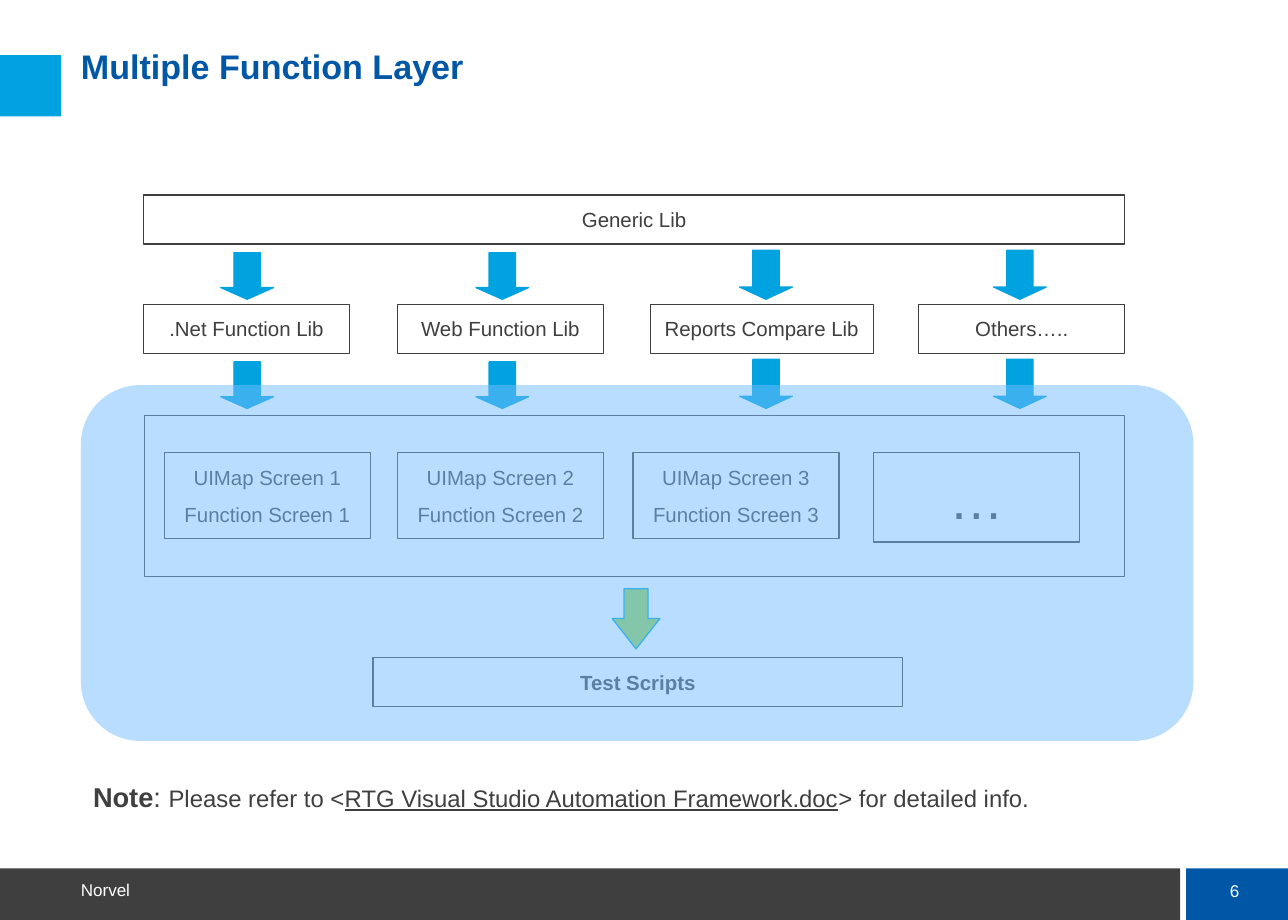
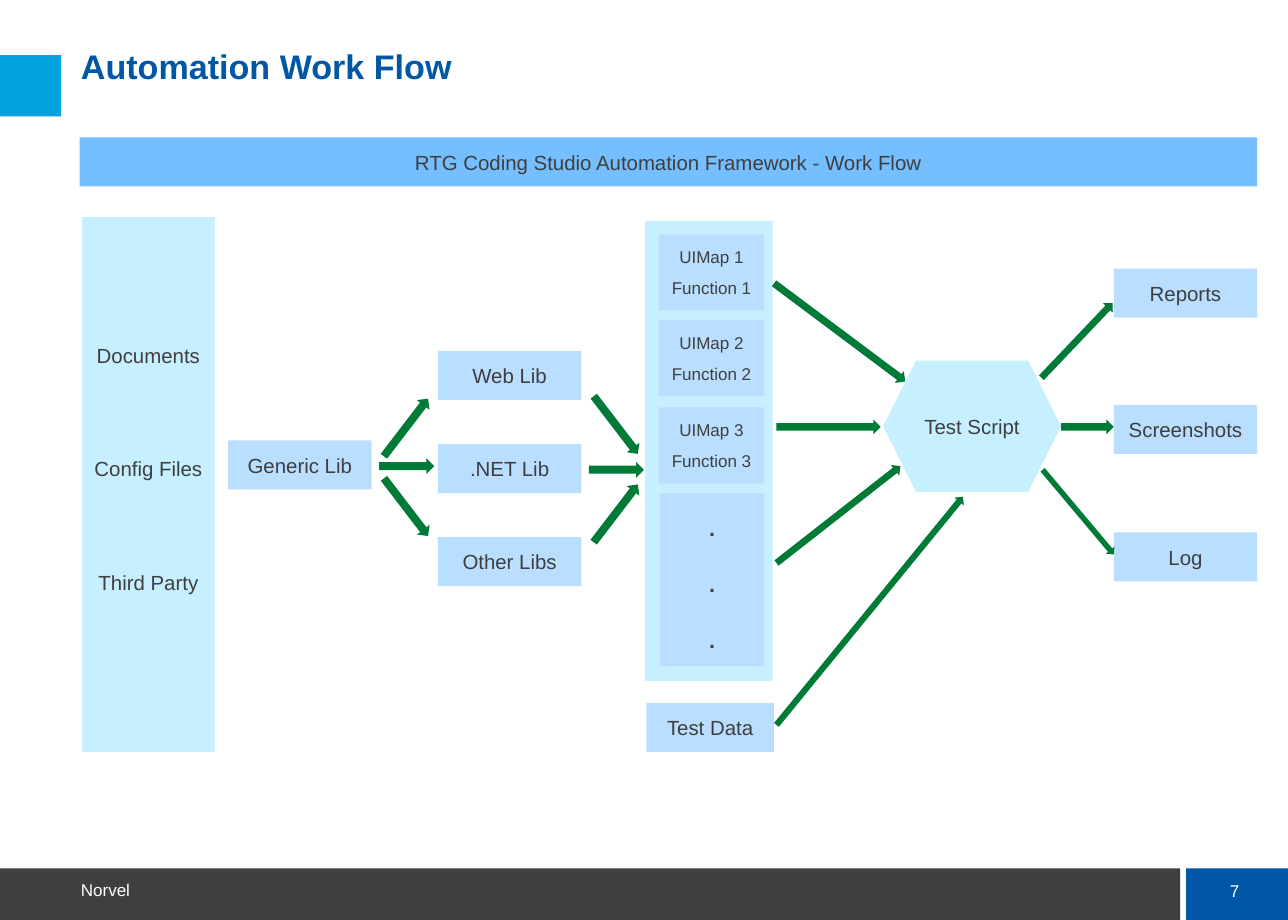
import math

from lxml import etree
from pptx import Presentation
from pptx import util as u
from pptx.dml.color import RGBColor
from pptx.enum import shapes, text
from pptx.oxml import ns

PX = 9144  # EMU per px, 100 px to the inch
FONT = "Arial"
WHITE = RGBColor(0xFF, 0xFF, 0xFF)
DARK = RGBColor(0x3F, 0x3F, 0x3F)
NAVY = RGBColor(0x00, 0x57, 0xA6)
CYAN = RGBColor(0x00, 0xA2, 0xDF)
LIME = RGBColor(0x92, 0xD0, 0x50)
GREEN = RGBColor(0x00, 0x7A, 0x37)
SKY = RGBColor(0x75, 0xBE, 0xFF)
PALE = RGBColor(0xBA, 0xDE, 0xFF)
ICE = RGBColor(0xC6, 0xEF, 0xFF)

MS = shapes.MSO_SHAPE
CENTER = text.PP_ALIGN.CENTER
LEFT = text.PP_ALIGN.LEFT
TOP, MIDDLE, BOTTOM = (text.MSO_ANCHOR.TOP, text.MSO_ANCHOR.MIDDLE,
                       text.MSO_ANCHOR.BOTTOM)

# Shared content
FOOTER = "Norvel"
TITLES = {6: "Multiple Function Layer", 7: "Automation Work Flow"}

# Layer slide: label, left, width, left and top of the arrow above
LIBS = [
    (".Net Function Lib", 117, 168, 180, 206),
    ("Web Function Lib", 324, 168, 388, 206),
    ("Reports Compare Lib", 530, 182, 603, 204),
    ("Others…..", 749, 168, 810, 204),
]
ARROW_BOTTOM = 244
ROW_STEP = 89
SCREEN_LEFTS = [134, 324, 516]
NOTE = [  # text, size, bold, underlined
    ("Note", 16, True, False),
    (": ", 16, False, False),
    ("Please refer to <", 14, False, False),
    ("RTG Visual Studio Automation Framework.doc", 14, False, True),
    ("> for detailed info.", 14, False, False),
]

# Work flow slide
BANNER = "RTG Coding Studio Automation Framework - Work Flow"
INPUTS = ["Documents", "Config Files", "Third Party"]
FLOW_BOXES = [  # label, left, top, width
    ("Generic Lib", 186, 359, 117),
    ("Web Lib", 357, 286, 117),
    (".NET Lib", 357, 362, 117),
    ("Other Libs", 357, 438, 117),
    ("Test Data", 527, 573, 104),
    ("Reports", 908, 219, 117),
    ("Screenshots", 908, 330, 117),
    ("Log", 908, 434, 117),
]
FLOW_ARROWS = [  # from x, y, to x, y, thickness
    (313, 372, 349, 325, 13),
    (309, 380, 354, 380, 13),
    (313, 390, 349, 437, 13),
    (484, 323, 520, 370, 13),
    (480, 383, 525, 383, 13),
    (484, 442, 520, 395, 13),
    (631, 231, 738, 311, 12),
    (633, 348, 718, 348, 12),
    (633, 459, 734, 380, 11),
    (633, 591, 785, 405, 10),
    (849, 308, 907, 247, 11),
    (865, 348, 908, 348, 12),
    (850, 383, 908, 452, 9),
]


def emu(*lengths):
    return [round(v * PX) for v in lengths]


def style_run(r, size, color=DARK, bold=False, underline=False):
    r.font.name = FONT
    r.font.size = u.Pt(size)
    r.font.color.rgb = color
    r.font.bold = bold
    r.font.underline = underline


def fill_text(sp, lines, size=12, color=DARK, bold=False, align=CENTER,
              anchor=TOP, margins=(5, 10), gap=None):
    """Write one paragraph per line, with space only between them."""
    tf = sp.text_frame
    tf.word_wrap = True
    tf.vertical_anchor = anchor
    side, top = emu(*margins)
    tf.margin_left = tf.margin_right = side
    tf.margin_top, tf.margin_bottom = top, 0
    tf.text = "\n".join(lines)
    for i, p in enumerate(tf.paragraphs):
        p.alignment = align
        if i:
            p.space_before = u.Pt(size * 0.625 if gap is None else gap)
        for r in p.runs:
            style_run(r, size, color, bold)
    return tf


def add_shape(s, kind, x, y, w, h, fill=None, line=None):
    sp = s.shapes.add_shape(kind, *emu(x, y, w, h))
    sp.shadow.inherit = False
    if fill is None:
        sp.fill.background()
    else:
        sp.fill.solid()
        sp.fill.fore_color.rgb = fill
    if line is None:
        sp.line.fill.background()
    else:
        sp.line.color.rgb = line
        sp.line.width = u.Pt(0.75)
    return sp


def add_box(s, lines, x, y, w, h=40, fill=None, line=None, **style):
    sp = add_shape(s, MS.RECTANGLE, x, y, w, h, fill, line)
    fill_text(sp, lines, **style)
    return sp


def add_label(s, label, x, y, w, h, **style):
    sp = s.shapes.add_textbox(*emu(x, y, w, h))
    return fill_text(sp, [label], margins=(0, 0), **style)


def add_down_arrow(s, x, y, w, h, fill, head):
    sp = add_shape(s, MS.DOWN_ARROW, x, y, w, h, fill, CYAN)
    sp.adjustments[1] = head


def add_flow_arrow(s, x1, y1, x2, y2, thick):
    length = math.hypot(x2 - x1, y2 - y1)
    sp = add_shape(s, MS.RIGHT_ARROW, (x1 + x2 - length) / 2,
                   (y1 + y2 - thick) / 2, length, thick, GREEN)
    sp.rotation = math.degrees(math.atan2(y2 - y1, x2 - x1)) % 360


def add_slide(prs, number):
    """Blank slide with the title, accent square and footer bands."""
    s = prs.slides.add_slide(prs.slide_layouts[6])
    for x, y, w, h, color in [(0, 708, 962, 42, DARK), (967, 708, 83, 42, NAVY),
                              (0, 45, 50, 50, CYAN)]:
        add_shape(s, MS.RECTANGLE, x, y, w, h, color)
    add_label(s, str(number), 982, 713, 49, 27, size=10, color=WHITE,
              anchor=MIDDLE)
    add_label(s, FOOTER, 66, 715, 419, 19, size=10, color=WHITE, align=LEFT,
              anchor=BOTTOM)
    tf = add_label(s, TITLES[number], 66, 41, 896, 66, size=20, color=NAVY,
                   bold=True, align=LEFT)
    tf.paragraphs[0].line_spacing = 0.9
    return s


def build_layers(prs):
    s = add_slide(prs, 6)

    # Libraries with arrows above and below
    add_box(s, ["Generic Lib"], 117, 159, 800, line=DARK)
    for label, x, w, arrow_x, arrow_y in LIBS:
        add_box(s, [label], x, 248, w, line=DARK)
        for y in (arrow_y, arrow_y + ROW_STEP):
            add_down_arrow(s, arrow_x, y, 43, ARROW_BOTTOM - arrow_y, CYAN, 0.25)

    # Screens and test scripts
    add_shape(s, MS.RECTANGLE, 118, 339, 799, 131, line=DARK)
    for i, x in enumerate(SCREEN_LEFTS, 1):
        add_box(s, [f"UIMap Screen {i}", f"Function Screen {i}"], x, 369, 168, 70,
                line=DARK)
    add_box(s, ["…"], 712, 369, 168, 73, line=DARK, size=32)
    add_down_arrow(s, 499, 480, 39, 49, LIME, 0.636)
    add_box(s, ["Test Scripts"], 304, 536, 432, line=DARK, bold=True)

    # Note
    sp = s.shapes.add_textbox(*emu(66, 626, 959, 47))
    tf = fill_text(sp, [""], align=LEFT, margins=(10, 10))
    for words, size, bold, underline in NOTE:
        r = tf.paragraphs[0].add_run()
        r.text = words
        style_run(r, size, DARK, bold, underline)

    # Translucent panel over the lower layers
    panel = add_shape(s, MS.ROUNDED_RECTANGLE, 66, 314, 907, 290, SKY)
    color = panel.fill._xPr.find(".//" + ns.qn("a:srgbClr"))
    etree.SubElement(color, ns.qn("a:alpha"), val="51000")


def build_work_flow(prs):
    s = add_slide(prs, 7)
    add_box(s, [BANNER], 65, 112, 960, fill=SKY)
    add_box(s, INPUTS, 67, 177, 108, 436, fill=ICE, margins=(5, 103), gap=52)

    # Screen maps
    add_shape(s, MS.RECTANGLE, 526, 180, 104, 375, ICE)
    for i in range(3):
        add_box(s, [f"UIMap {i + 1}", f"Function {i + 1}"], 537,
                191 + round(70.5 * i), 86, 62, fill=PALE, size=10)
    add_box(s, ["."] * 3, 538, 402, 85, 141, fill=PALE, size=18)

    # Steps and the arrows between them
    for label, x, y, w in FLOW_BOXES:
        add_box(s, [label], x, y, w, fill=PALE)
    script = add_shape(s, MS.HEXAGON, 720, 294, 145, 107, ICE)
    fill_text(script, ["Test Script"], anchor=MIDDLE, margins=(5, 0))
    for arrow in FLOW_ARROWS:
        add_flow_arrow(s, *arrow)


def main():
    prs = Presentation()
    prs.slide_width, prs.slide_height = emu(1050, 750)
    build_layers(prs)
    build_work_flow(prs)
    prs.save("out.pptx")


if __name__ == "__main__":
    main()
